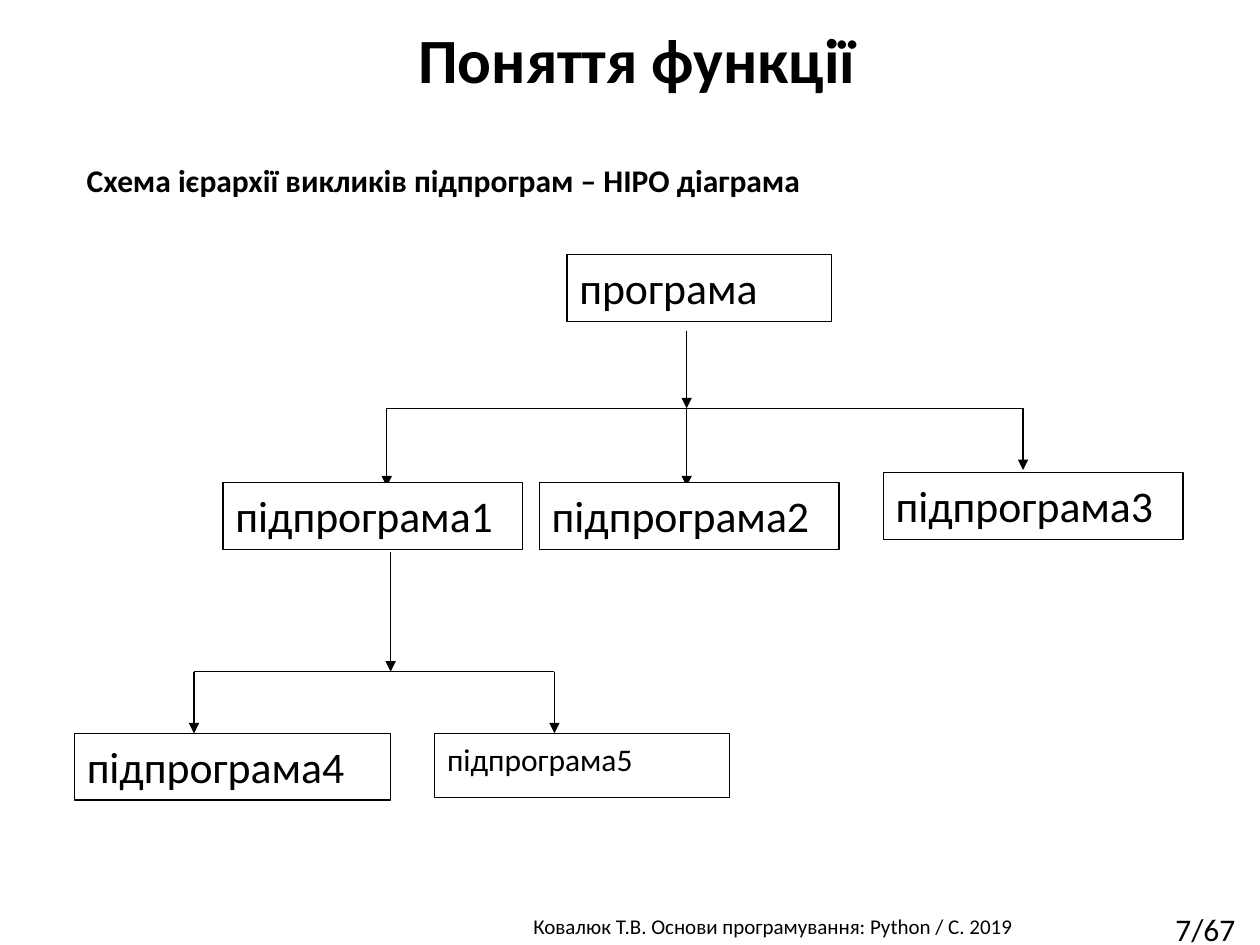
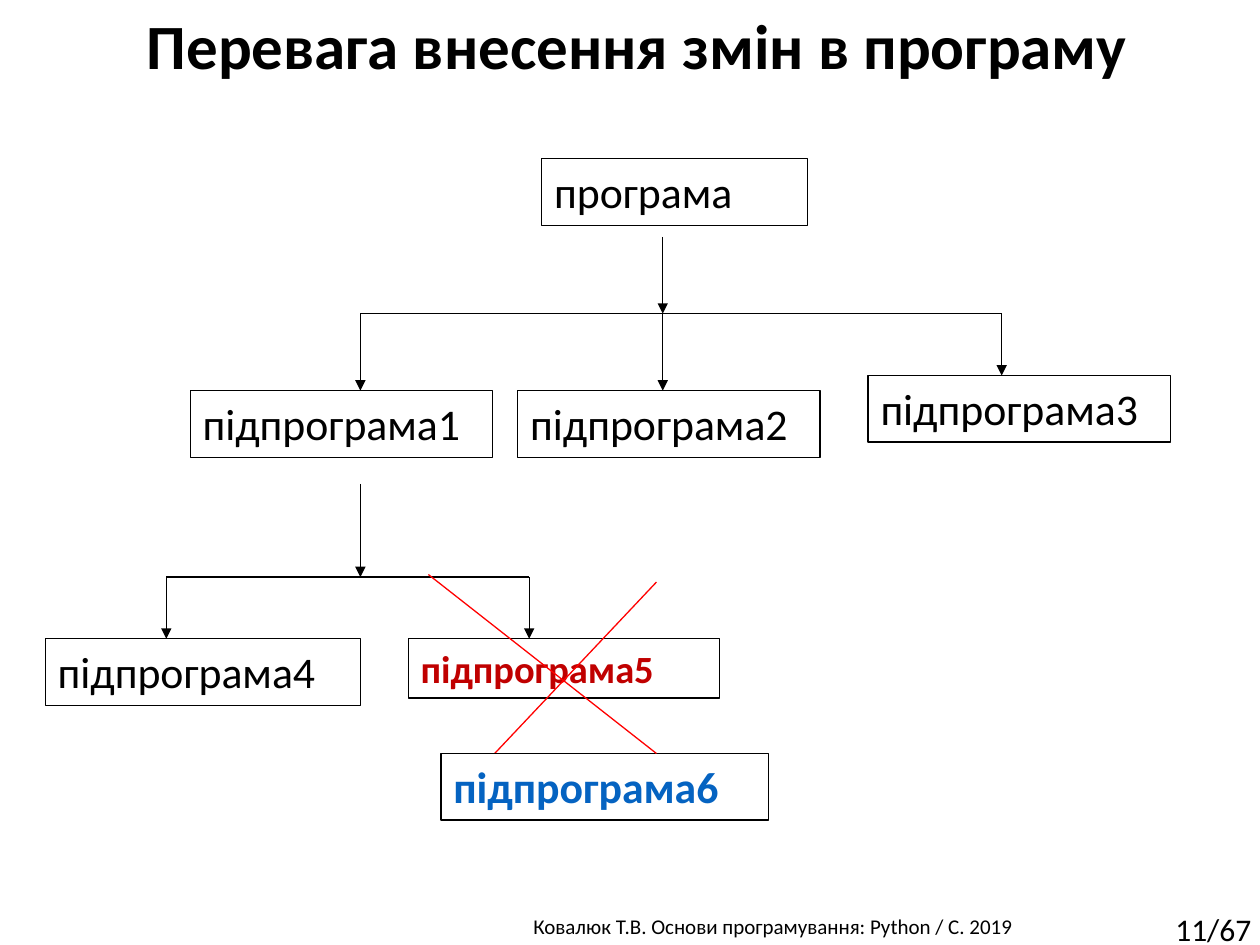
import pptx
import pptx.util
import pptx.dml.color
import pptx.enum.shapes
import pptx.enum.text
import pptx.oxml.ns
import lxml.etree

Inches = pptx.util.Inches
Pt = pptx.util.Pt
RGBColor = pptx.dml.color.RGBColor
Align = pptx.enum.text.PP_ALIGN
Anchor = pptx.enum.text.MSO_ANCHOR
qn = pptx.oxml.ns.qn

BLACK = RGBColor(0, 0, 0)
WHITE = RGBColor(255, 255, 255)
RED = RGBColor(255, 0, 0)
DARK = RGBColor(192, 0, 0)
BLUE = RGBColor(5, 99, 193)
FONT = "Calibri"


def write(shape, text, size, color=BLACK, bold=False, align=Align.LEFT, wrap=True):
    frame = shape.text_frame
    frame.text = text
    frame.word_wrap = wrap
    para = frame.paragraphs[0]
    para.alignment = align
    font = para.runs[0].font
    font.name = FONT
    font.size = Pt(size)
    font.bold = bold
    font.color.rgb = color


def draw(slide, x1, y1, x2, y2, color=BLACK, arrow=False):
    line = slide.shapes.add_connector(
        pptx.enum.shapes.MSO_CONNECTOR.STRAIGHT,
        Inches(x1), Inches(y1), Inches(x2), Inches(y2))
    line.line.color.rgb = color
    line.line.width = Pt(0.75)
    props = line.element.spPr
    if arrow:
        tail = lxml.etree.SubElement(props.find(qn("a:ln")), qn("a:tailEnd"))
        tail.set("type", "triangle")
    lxml.etree.SubElement(props, qn("a:effectLst"))


deck = pptx.Presentation()
deck.slide_width = Inches(10)
deck.slide_height = Inches(7.5)

# fork: stem x, stem top, bar y, then (x, y) of each arrow tip
pages = [
    {
        "title": "Поняття функції", "high": 0.92, "page": "7/67",
        "forks": [
            (5.45, 2.63, 3.24, [(3.07, 3.86), (5.45, 3.86), (8.12, 3.73)]),
            (3.1, 4.38, 5.33, [(1.54, 5.82), (4.4, 5.82)]),
        ],
        "boxes": [
            ("програма", 4.5, 2.02, 2.1, 0.53, 25, BLACK),
            ("підпрограма1", 1.77, 3.83, 2.38, 0.53, 25, BLACK),
            ("підпрограма2", 4.28, 3.83, 2.38, 0.53, 25, BLACK),
            ("підпрограма3", 7.01, 3.75, 2.38, 0.53, 25, BLACK),
            ("підпрограма4", 0.59, 5.82, 2.51, 0.53, 25, BLACK),
            ("підпрограма5", 3.45, 5.82, 2.34, 0.51, 18, BLACK),
        ],
    },
    {
        "title": "Перевага внесення змін в програму", "high": 0.71, "page": "11/67",
        "forks": [
            (5.26, 1.88, 2.49, [(2.86, 3.1), (5.26, 3.1), (7.95, 2.98)]),
            (2.86, 3.84, 4.58, [(1.32, 5.07), (4.2, 5.07)]),
        ],
        "boxes": [
            ("програма", 4.3, 1.26, 2.11, 0.53, 25, BLACK),
            ("підпрограма1", 1.51, 3.1, 2.4, 0.53, 25, BLACK),
            ("підпрограма2", 4.11, 3.1, 2.4, 0.53, 25, BLACK),
            ("підпрограма3", 6.89, 2.98, 2.4, 0.53, 25, BLACK),
            ("підпрограма4", 0.36, 5.07, 2.5, 0.53, 25, BLACK),
            ("підпрограма5", 3.24, 5.07, 2.47, 0.47, 22, DARK),
            ("підпрограма6", 3.5, 5.98, 2.6, 0.53, 25, BLUE),
        ],
    },
]

for page in pages:
    slide = deck.slides.add_slide(deck.slide_layouts[5])
    shapes = slide.shapes

    title = shapes.title
    title.left, title.top = Inches(0), Inches(0)
    title.width, title.height = Inches(10.11), Inches(page["high"])
    write(title, page["title"], 36, bold=True, align=Align.CENTER)
    title.text_frame.vertical_anchor = Anchor.MIDDLE

    foot = shapes.add_textbox(Inches(3.29), Inches(7.2), Inches(5.69), Inches(0.3))
    write(foot, "Ковалюк Т.В. Основи програмування: Python / C. 2019", 12,
          align=Align.CENTER)
    count = shapes.add_textbox(Inches(9.23), Inches(7.17), Inches(0.85), Inches(0.4))
    write(count, page["page"], 18, wrap=False)

    for stem, top, bar, tips in page["forks"]:
        draw(slide, stem, top, stem, bar, arrow=True)
        draw(slide, tips[0][0], bar, tips[-1][0], bar)
        for x, y in tips:
            draw(slide, x, bar, x, y, arrow=True)

    for text, x, y, wide, high, size, color in page["boxes"]:
        if color == BLUE:
            draw(slide, 5.21, 4.62, 3.87, 6.04, RED)
        box = shapes.add_shape(pptx.enum.shapes.MSO_SHAPE.RECTANGLE,
                               Inches(x), Inches(y), Inches(wide), Inches(high))
        box.shadow.inherit = False
        box.fill.solid()
        box.fill.fore_color.rgb = WHITE
        box.line.color.rgb = BLACK
        box.line.width = Pt(0.75)
        write(box, text, size, color, bold=color != BLACK)
        box.text_frame.vertical_anchor = Anchor.TOP
        if color == BLUE:
            draw(slide, 3.4, 4.56, 5.21, 5.98, RED)

note = deck.slides[0].shapes.add_textbox(
    Inches(0.59), Inches(1.23), Inches(8.83), Inches(0.5))
write(note, "Схема ієрархії викликів підпрограм – HIPO діаграма", 18, bold=True)

deck.save("out.pptx")
